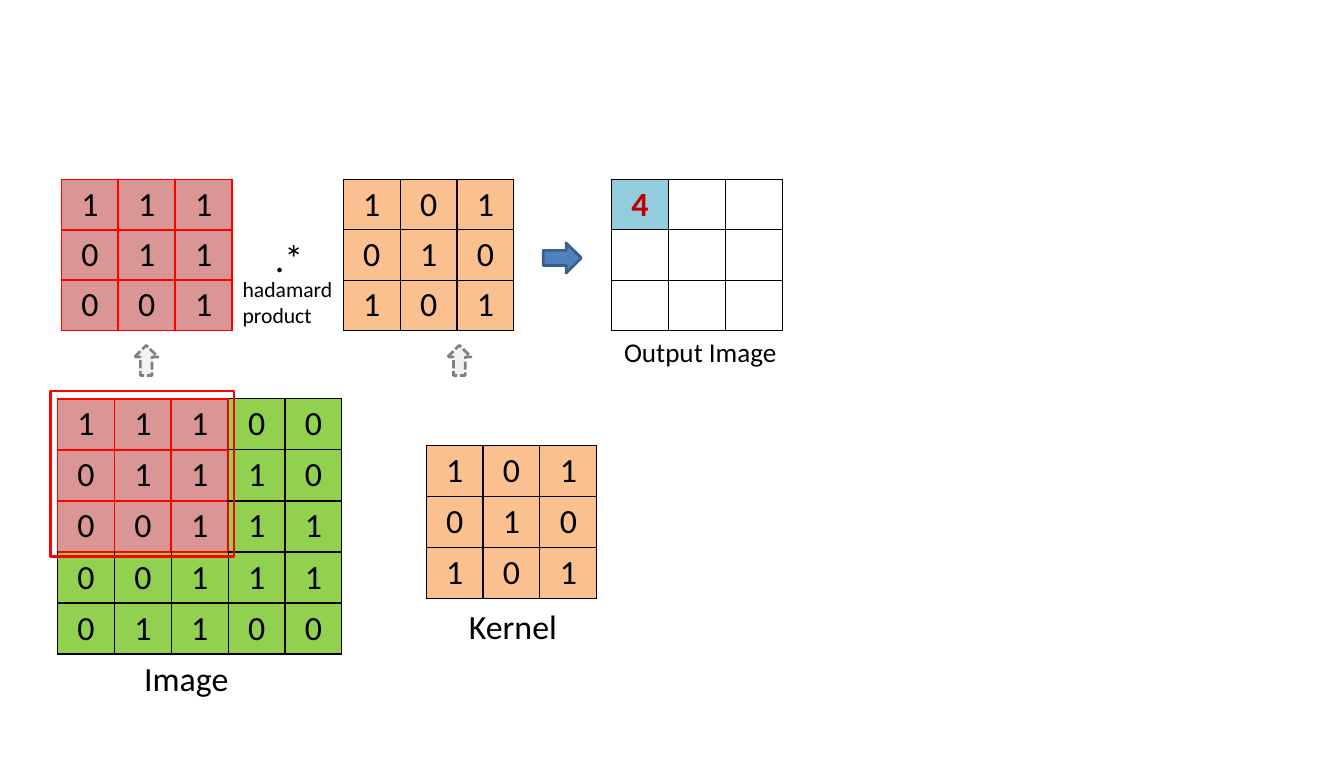
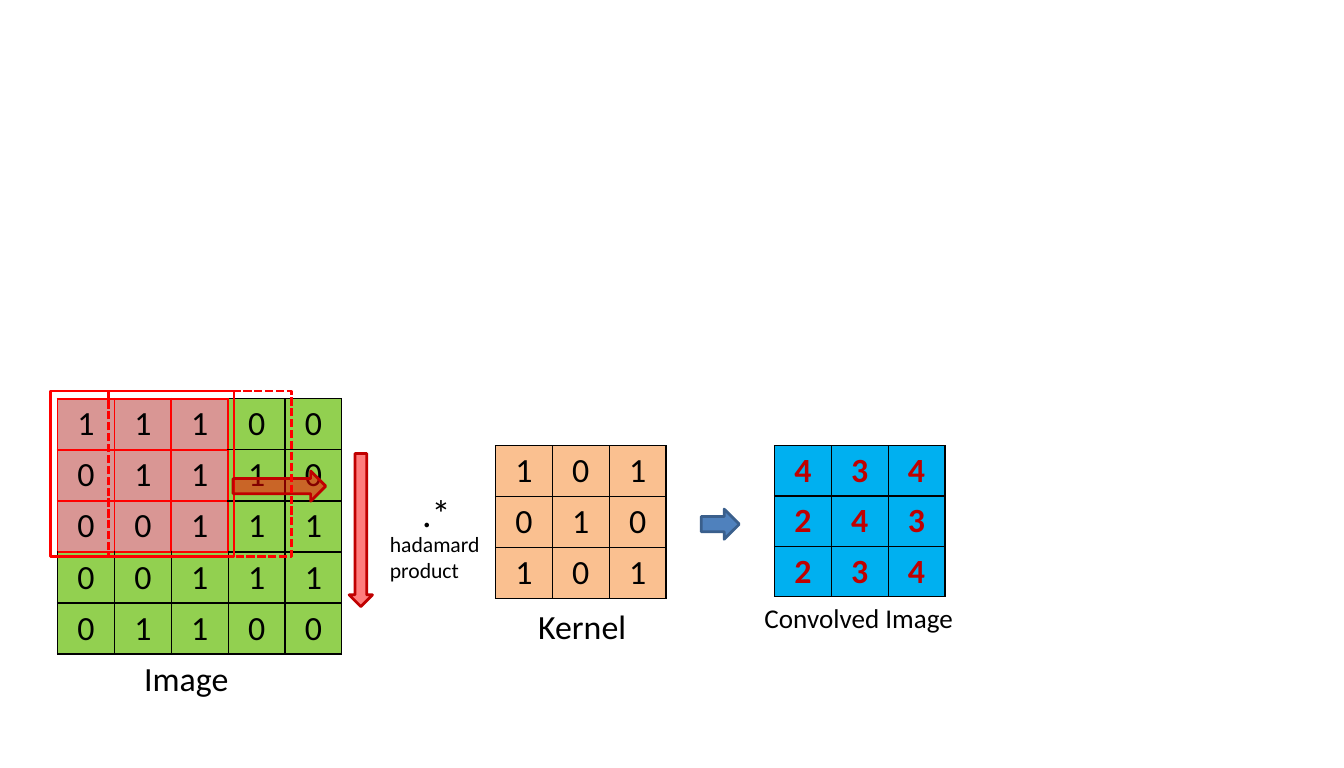
from pptx import Presentation
from pptx.dml.color import RGBColor
from pptx.enum.dml import MSO_LINE
from pptx.enum.shapes import MSO_SHAPE
from pptx.enum.text import MSO_ANCHOR, MSO_AUTO_SIZE, PP_ALIGN
from pptx.oxml.ns import qn
from pptx.util import Inches, Pt
from lxml import etree

RECT, UP, DOWN, RIGHT = (MSO_SHAPE.RECTANGLE, MSO_SHAPE.UP_ARROW,
                         MSO_SHAPE.DOWN_ARROW, MSO_SHAPE.RIGHT_ARROW)
DASH = MSO_LINE.SQUARE_DOT
MIDDLE, CENTER = MSO_ANCHOR.MIDDLE, PP_ALIGN.CENTER

WIDTH, HEIGHT = Pt(992.25), Pt(567)
FONT = "Calibri"
BLACK, WHITE, RED, DARK = "000000", "FFFFFF", "FF0000", "C00000"
PINK, GREEN, PEACH = "D99694", "92D050", "FAC090"
AQUA, SKY, BLUE, NAVY = "93CDDD", "00B0F0", "4F81BD", "3A5F8C"
PALE, GREY = "F2F2F2", "808080"

IMAGE = ["11100", "01110", "00111", "00111", "01100"]
KERNEL = ["101", "010", "101"]
FIRST = ["4  ", "   ", "   "]
RESULT = ["434", "243", "234"]
SPAN = len(KERNEL)
PATCH = [row[:SPAN] for row in IMAGE[:SPAN]]

CELL = 1.75 / 3          # column width
LOW, TALL = 1.55 / 3, 1.57 / 3   # row heights
TOP, MID = 1.84, 4.57    # tops of the two rows of tables


def color(code):
    return RGBColor.from_string(code)


def style(run, size, ink=BLACK, bold=False):
    for key, value in {"name": FONT, "size": Pt(size), "bold": bold}.items():
        setattr(run.font, key, value)
    run.font.color.rgb = color(ink)


def edge(cell, side, ink, width):
    """Draw one border of a cell; side is L, R, T or B."""
    line = etree.SubElement(cell._tc.get_or_add_tcPr(), qn("a:ln" + side),
                            w=str(Pt(width)))
    fill = etree.SubElement(line, qn("a:solidFill"))
    etree.SubElement(fill, qn("a:srgbClr"), val=ink)


def grid(slide, x, y, rows, paint, high=LOW, ink=BLACK, bold=False, hot=None):
    """Add a number table; paint(r, c) gives a fill, hot(r, c) marks red edges."""
    hot = hot or (lambda r, c: False)
    count, wide = len(rows), len(rows[0])
    table = slide.shapes.add_table(count, wide, Inches(x), Inches(y),
                                   Inches(CELL * wide), Inches(high * count)).table
    table.first_row = table.horz_banding = False
    for r, row in enumerate(rows):
        for c, text in enumerate(row):
            cell = table.cell(r, c)
            near = {"L": (r, c - 1), "R": (r, c), "T": (r - 1, c), "B": (r, c)}
            for side, (up, left) in near.items():
                red = hot(r, c) or (min(up, left) >= 0 and hot(up, left))
                edge(cell, side, *((RED, 1.5) if red else (BLACK, 1)))
            cell.fill.solid()
            cell.fill.fore_color.rgb = color(paint(r, c))
            cell.margin_top = cell.margin_bottom = 0
            cell.vertical_anchor = MIDDLE
            if text.strip():
                para = cell.text_frame.paragraphs[0]
                para.alignment = CENTER
                run = para.add_run()
                run.text = text
                style(run, 25, ink, bold)


def label(slide, x, y, w, h, text, size):
    frame = slide.shapes.add_textbox(Inches(x), Inches(y),
                                     Inches(w), Inches(h)).text_frame
    frame.word_wrap = False
    frame.auto_size = MSO_AUTO_SIZE.SHAPE_TO_FIT_TEXT
    frame.text = text
    for para in frame.paragraphs:
        style(para.runs[0], size)


def shape(slide, kind, x, y, w, h, line, fill=None, dash=None, alpha=None):
    form = slide.shapes.add_shape(kind, Inches(x), Inches(y), Inches(w), Inches(h))
    form.shadow.inherit = False
    form.line.color.rgb = color(line)
    form.line.width = Pt(2)
    if dash:
        form.line.dash_style = dash
    if fill is None:
        form.fill.background()
        return
    form.fill.solid()
    form.fill.fore_color.rgb = color(fill)
    if alpha:
        tint = form.fill._xPr.find(qn("a:solidFill"))[0]
        etree.SubElement(tint, qn("a:alpha"), val=str(alpha * 1000))


def peach(r, c):
    return PEACH


def frame(slide, x, dash=None):
    """Outline the part of the image under the kernel."""
    shape(slide, RECT, x, 4.01, 1.88, 1.7, RED, dash=dash)


def product(slide, x, y):
    label(slide, x + 0.33, y, 0.5, 0.57, ".*", 28)
    label(slide, x, y + 0.42, 1.13, 0.64, "hadamard\nproduct", 16)


def base(deck, x):
    """Start a slide with the image, and the kernel at x."""
    slide = deck.slides.add_slide(deck.slide_layouts[6])

    def under(r, c):
        return max(r, c) < SPAN

    grid(slide, 0.59, 4.09, IMAGE, lambda r, c: PINK if under(r, c) else GREEN,
         TALL, hot=under)
    grid(slide, x, MID, KERNEL, peach, TALL)
    label(slide, 1.38, 6.69, 1.08, 0.52, "Image", 25)
    label(slide, x + 0.34, 6.16, 1.12, 0.52, "Kernel", 25)
    frame(slide, 0.52)
    return slide


def step(deck):
    slide = base(deck, 4.37)
    grid(slide, 0.63, TOP, PATCH, lambda r, c: PINK, hot=lambda r, c: True)
    grid(slide, 3.52, TOP, KERNEL, peach)
    grid(slide, 6.27, TOP, FIRST, lambda r, c: WHITE if r or c else AQUA,
         ink=DARK, bold=True)
    for x in (1.38, 4.59):
        shape(slide, UP, x, 3.54, 0.24, 0.31, GREY, PALE, DASH)
    shape(slide, RIGHT, 5.57, 2.49, 0.39, 0.31, NAVY, BLUE)
    product(slide, 2.39, 2.36)
    label(slide, 6.3, 3.39, 1.78, 0.44, "Output Image", 20)


def sweep(deck):
    slide = base(deck, 5.08)
    shape(slide, RIGHT, 2.39, 4.83, 0.95, 0.31, DARK, RED, alpha=51)
    shape(slide, DOWN, 3.58, 4.65, 0.24, 1.57, DARK, RED, alpha=51)
    product(slide, 3.9, 4.97)
    frame(slide, 1.11, DASH)
    shape(slide, RIGHT, 7.19, 5.22, 0.39, 0.31, NAVY, BLUE)
    grid(slide, 7.94, MID, RESULT, lambda r, c: SKY, ink=DARK, bold=True)
    label(slide, 7.74, 6.12, 2.15, 0.44, "Convolved Image", 20)


def main():
    deck = Presentation()
    deck.slide_width, deck.slide_height = WIDTH, HEIGHT
    step(deck)
    sweep(deck)
    deck.save("out.pptx")


if __name__ == "__main__":
    main()
